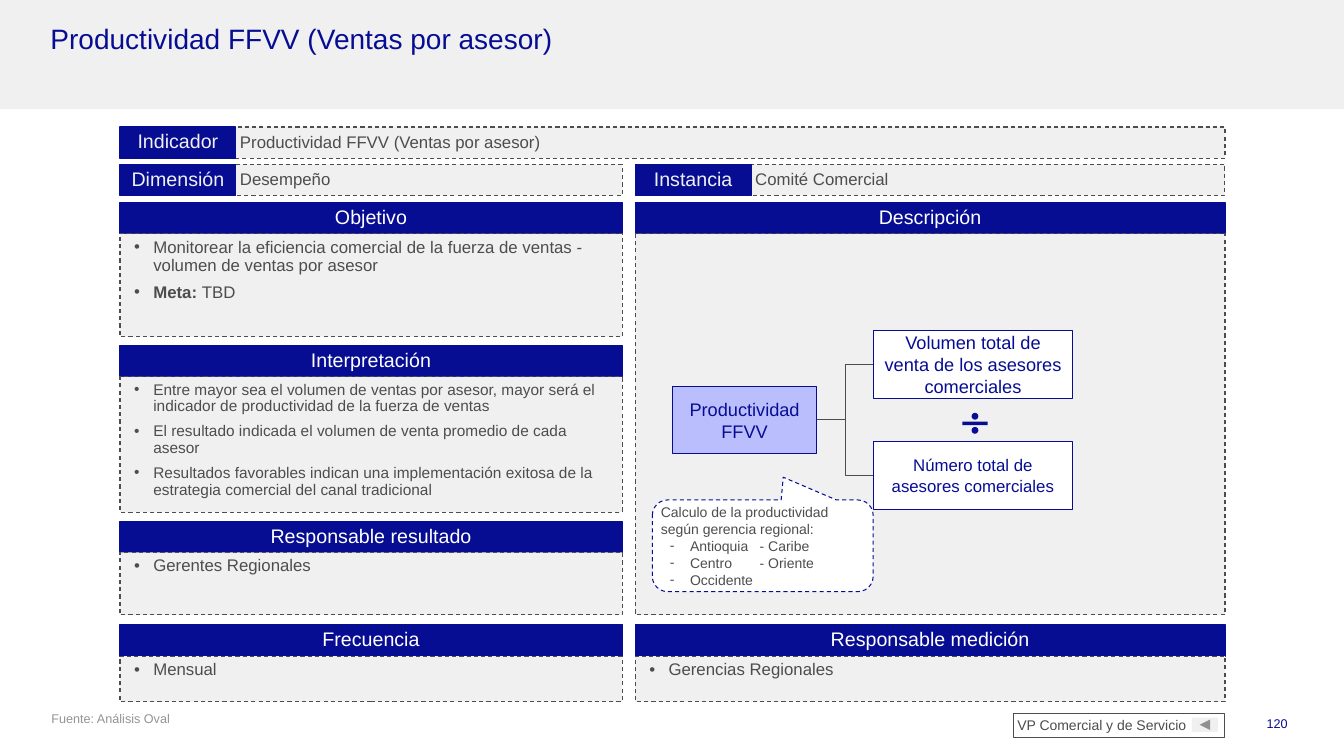
from lxml import etree
from pptx import Presentation
from pptx.dml.color import RGBColor
from pptx.enum.dml import MSO_LINE
from pptx.enum.shapes import MSO_CONNECTOR, MSO_SHAPE
from pptx.enum.text import MSO_ANCHOR, PP_ALIGN
from pptx.oxml.ns import qn
from pptx.util import Inches, Pt

RECTANGLE = MSO_SHAPE.RECTANGLE
CALLOUT = MSO_SHAPE.ROUNDED_RECTANGULAR_CALLOUT
DIVIDE = MSO_SHAPE.MATH_DIVIDE
NEXT_BUTTON = MSO_SHAPE.ACTION_BUTTON_FORWARD_OR_NEXT
ELBOW = MSO_CONNECTOR.ELBOW
DASH = MSO_LINE.DASH
LEFT, CENTER, RIGHT = PP_ALIGN.LEFT, PP_ALIGN.CENTER, PP_ALIGN.RIGHT
TOP, MIDDLE = MSO_ANCHOR.TOP, MSO_ANCHOR.MIDDLE

FONT = "Arial"
NAVY, GRAY, PALE, WHITE = "070D93", "4D4D4D", "F0F0F0", "FFFFFF"
LILAC, SOURCE_GRAY = "BBBEFC", "949494"
TIGHT = (0.04, 0.05, 0.04, 0.05)
NORMAL = (0.1, 0.05, 0.1, 0.05)

LEFT_COLUMN = (1.19, 4.98)
RIGHT_COLUMN = (6.3, 5.85)
HEADER_HEIGHT = 0.31
LABEL_WIDTH = 1.15
RIGHT_SITE, LEFT_SITE = 3, 1

FIELDS = [
    ("Indicador", "Productividad FFVV (Ventas por asesor)", 1.19, 1.26, 10.96),
    ("Dimensión", "Desempeño", 1.19, 1.63, 4.98),
    ("Instancia", "Comité Comercial", 6.3, 1.63, 5.85),
]
# heading, column, top, body height, text size, bullets
PANELS = [
    ("Objetivo", LEFT_COLUMN, 2.01, 1.02, 12, [
        "Monitorear la eficiencia comercial de la fuerza de ventas - "
        "volumen de ventas por asesor",
        ("Meta: ", "TBD")]),
    ("Interpretación", LEFT_COLUMN, 3.43, 1.34, 11, [
        "Entre mayor sea el volumen de ventas por asesor, mayor será el "
        "indicador de productividad de la fuerza de ventas",
        "El resultado indicada el volumen de venta promedio de cada asesor",
        "Resultados favorables indican una implementación exitosa de la "
        "estrategia comercial del canal tradicional"]),
    ("Responsable resultado", LEFT_COLUMN, 5.17, 0.62, 12, ["Gerentes Regionales"]),
    ("Frecuencia", LEFT_COLUMN, 6.2, 0.45, 12, ["Mensual"]),
    ("Descripción", RIGHT_COLUMN, 2.01, 3.78, 12, []),
    ("Responsable medición", RIGHT_COLUMN, 6.2, 0.45, 12, ["Gerencias Regionales"]),
]


def color(hex_value):
    return RGBColor.from_string(hex_value)


class SlideBuilder:
    """Holds the slide being built and the style shared by its elements."""

    def __init__(self, slide):
        self.slide = slide

    def shape(self, kind, left, top, width, height, fill=None, line=None,
              line_width=0.75, dash=None):
        shape = self.slide.shapes.add_shape(
            kind, Inches(left), Inches(top), Inches(width), Inches(height))
        shape.shadow.inherit = False
        if fill:
            shape.fill.solid()
            shape.fill.fore_color.rgb = color(fill)
        else:
            shape.fill.background()
        if line:
            shape.line.color.rgb = color(line)
            shape.line.width = Pt(line_width)
            if dash:
                shape.line.dash_style = dash
        else:
            shape.line.fill.background()
        return shape

    def fill_text(self, shape, items, size, font_color, align=LEFT, anchor=TOP,
                  insets=TIGHT, compact=True):
        """Fill a shape; an item given as a tuple has its first run in bold."""
        frame = shape.text_frame
        frame.word_wrap = True
        frame.vertical_anchor = anchor
        (frame.margin_left, frame.margin_top,
         frame.margin_right, frame.margin_bottom) = map(Inches, insets)
        for index, item in enumerate(items):
            paragraph = frame.add_paragraph() if index else frame.paragraphs[0]
            paragraph.alignment = align
            paragraph.line_spacing = 0.9 if compact else 1.0
            paragraph.space_before = Pt(3 if compact and index else 0)
            paragraph.space_after = Pt(3 if compact else 0)
            parts = item if isinstance(item, tuple) else (item,)
            for position, text in enumerate(parts):
                run = paragraph.add_run()
                run.text = text
                run.font.name = FONT
                run.font.size = Pt(size)
                run.font.bold = len(parts) > 1 and position == 0
                run.font.color.rgb = color(font_color)
        return frame.paragraphs

    def bullet(self, paragraph, character, hanging, tab=None):
        properties = paragraph._p.get_or_add_pPr()
        properties.set("marL", str(Inches(0.29)))
        properties.set("indent", str(-Inches(hanging)))
        bullet_color = etree.SubElement(properties, qn("a:buClr"))
        etree.SubElement(bullet_color, qn("a:srgbClr"), val=GRAY)
        etree.SubElement(properties, qn("a:buFont"), typeface=FONT)
        etree.SubElement(properties, qn("a:buChar"), char=character)
        if tab:
            tabs = etree.SubElement(properties, qn("a:tabLst"))
            etree.SubElement(tabs, qn("a:tab"), pos=str(Inches(tab)), algn="l")

    def title(self, text):
        title = self.slide.shapes.title
        title.left, title.top = Inches(0.46), Inches(0.2)
        title.width, title.height = Inches(12.4), Inches(0.69)
        self.fill_text(title, [text], 20, NAVY)

    def band(self):
        """Draw the pale strip behind the title."""
        band = self.shape(RECTANGLE, 0, 0, 13.33, 1.08, PALE)
        self.slide.shapes.title._element.addprevious(band._element)

    def text(self, text, left, width, font_color, align, insets):
        box = self.slide.shapes.add_textbox(
            Inches(left), Inches(7.05), Inches(width), Inches(0.4))
        self.fill_text(box, [text], 9, font_color, align, insets=insets, compact=False)

    def header(self, text, left, top, width, font_color=WHITE):
        header = self.shape(RECTANGLE, left, top, width, HEADER_HEIGHT, NAVY, NAVY)
        self.fill_text(header, [text], 14, font_color, CENTER)

    def field(self, label, value, left, top, width):
        box = self.shape(RECTANGLE, left + LABEL_WIDTH, top, width - LABEL_WIDTH,
                         HEADER_HEIGHT, PALE, GRAY, dash=DASH)
        self.fill_text(box, [value], 12, GRAY, anchor=MIDDLE)
        self.header(label, left, top, LABEL_WIDTH, PALE)

    def panel(self, heading, column, top, height, size, items):
        left, width = column
        self.header(heading, left, top, width)
        body = self.shape(RECTANGLE, left, top + HEADER_HEIGHT, width, height,
                          PALE, GRAY, dash=DASH)
        if items:
            for paragraph in self.fill_text(body, items, size, GRAY):
                self.bullet(paragraph, "•", 0.19)

    def node(self, text, left, top, width, size, fill=WHITE):
        node = self.shape(RECTANGLE, left, top, width, 0.67, fill, NAVY, 0.5)
        self.fill_text(node, [text], size, NAVY, CENTER, MIDDLE, NORMAL, compact=False)
        return node

    def elbow(self, start, end):
        connector = self.slide.shapes.add_connector(ELBOW, 0, 0, 0, 0)
        connector.begin_connect(start, RIGHT_SITE)
        connector.end_connect(end, LEFT_SITE)
        connector.line.color.rgb = color(GRAY)
        connector.line.width = Pt(0.5)
        etree.SubElement(connector._element.spPr, qn("a:effectLst"))

    def callout(self, intro, regions):
        callout = self.shape(CALLOUT, 6.47, 4.96, 2.19, 0.91, WHITE, NAVY, dash=DASH)
        for index, value in enumerate((0.093, -0.748, 0.167)):
            callout.adjustments[index] = value
        paragraphs = self.fill_text(callout, [intro, *regions], 10, GRAY,
                                    anchor=MIDDLE, compact=False)
        for paragraph in paragraphs[1:]:
            self.bullet(paragraph, "-", 0.2, tab=0.98)


def main():
    presentation = Presentation()
    presentation.slide_width, presentation.slide_height = Inches(13.33), Inches(7.5)
    builder = SlideBuilder(presentation.slides.add_slide(presentation.slide_layouts[5]))

    builder.band()
    builder.title("Productividad FFVV (Ventas por asesor)")
    for field in FIELDS:
        builder.field(*field)
    for panel in PANELS:
        builder.panel(*panel)

    volume = builder.node("Volumen total de venta de los asesores comerciales",
                          8.66, 3.28, 1.98, 13)
    advisers = builder.node("Número total de asesores comerciales",
                            8.66, 4.38, 1.98, 12)
    productivity = builder.node("Productividad FFVV", 6.67, 3.83, 1.43, 13, LILAC)
    for factor in (volume, advisers):
        builder.elbow(productivity, factor)
    divide = builder.shape(DIVIDE, 9.5, 4.02, 0.34, 0.36, NAVY)
    for index, value in enumerate((0.096, 0.052, 0.094)):
        divide.adjustments[index] = value
    builder.callout("Calculo de la productividad según gerencia regional:",
                    ["Antioquia\t- Caribe", "Centro\t- Oriente", "Occidente"])

    builder.text("Fuente: Análisis Oval", 0.47, 11.02, SOURCE_GRAY, LEFT,
                 (0.04, 0, 0.04, 0.04))
    builder.text("120", 11.76, 1.11, NAVY, RIGHT, NORMAL)
    area = builder.shape(RECTANGLE, 10.05, 7.08, 2.1, 0.24, line=GRAY)
    builder.fill_text(area, ["VP Comercial y de Servicio"], 10, GRAY)
    back_button = builder.shape(NEXT_BUTTON, 11.82, 7.12, 0.26, 0.14, PALE)
    back_button.rotation = 180

    presentation.save("out.pptx")


if __name__ == "__main__":
    main()
